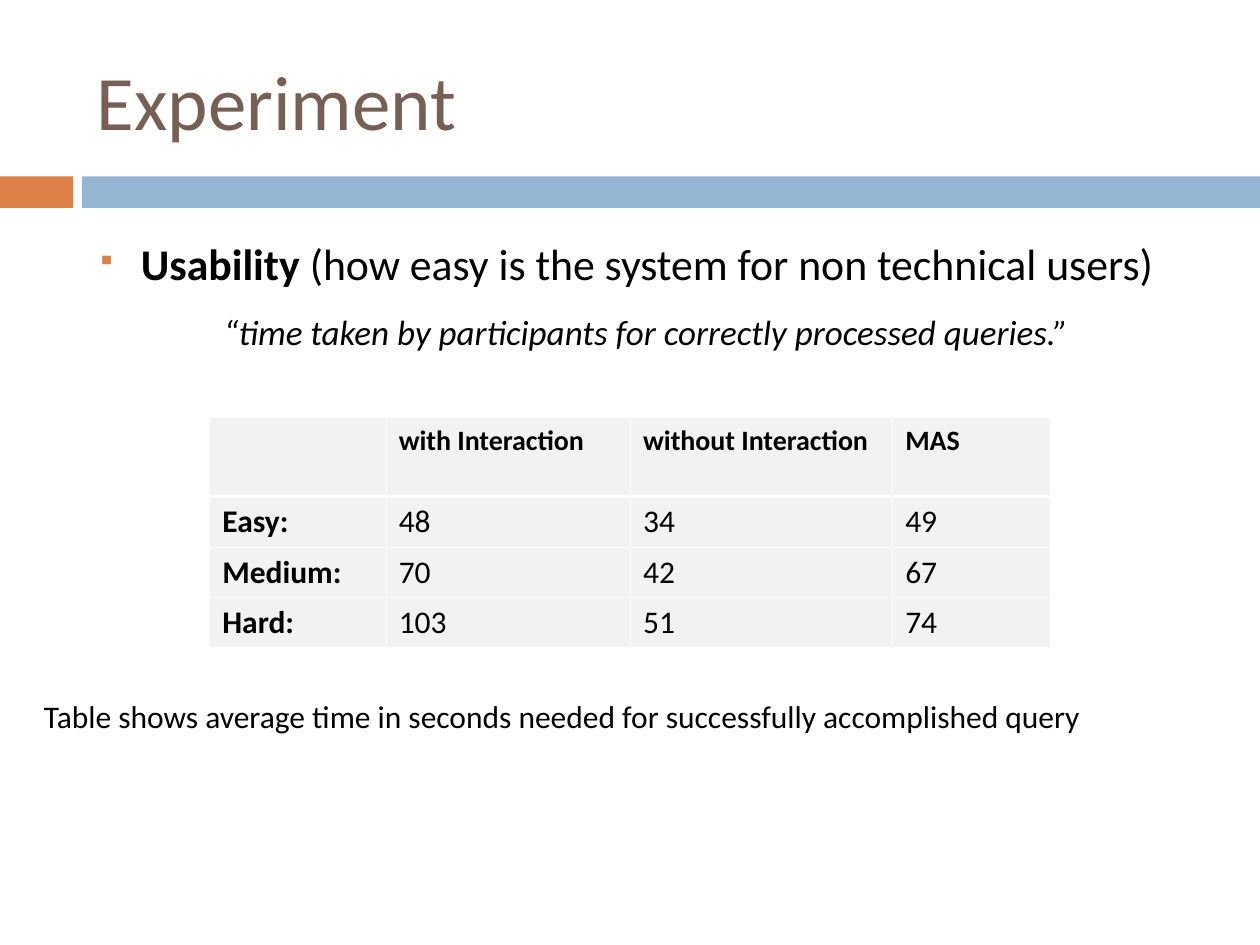
import pptx
import pptx.dml.color
import pptx.enum.shapes
import pptx.enum.text
import pptx.oxml
import pptx.oxml.ns
import pptx.util

WIDTH, HEIGHT = 10, 7.5
FONT = "Calibri"
BLACK, WHITE, BROWN = "000000", "FFFFFF", "775F55"
ORANGE, BLUE, PALE = "DD8047", "94B6D2", "F2F2F2"
COLUMNS = [1.4, 1.94, 2.08, 1.25]
ROWS = [0.63, 0.4, 0.4, 0.4]
TIMES = [
    ["", "with Interaction", "without Interaction", "MAS"],
    ["Easy:", "48", "34", "49"],
    ["Medium:", "70", "42", "67"],
    ["Hard:", "103", "51", "74"],
]


def inches(*lengths):
    """Convert lengths in inches to slide units."""
    return [pptx.util.Inches(length) for length in lengths]


def color(hex_value):
    """Return the colour for a hex string."""
    return pptx.dml.color.RGBColor.from_string(hex_value)


def format_font(font, size, hex_value=BLACK, bold=False, italic=False):
    """Apply the slide's typeface with the given look."""
    font.name, font.size = FONT, pptx.util.Pt(size)
    font.bold, font.italic = bold, italic
    font.color.rgb = color(hex_value)


def append_xml(parent, xml):
    """Append a DrawingML fragment to an element."""
    namespace = pptx.oxml.ns.nsdecls("a")
    parent.append(pptx.oxml.parse_xml(xml.replace(" ", f" {namespace} ", 1)))


def add_band(slide, left, width, fill):
    """Draw one part of the horizontal band under the title."""
    band = slide.shapes.add_shape(
        pptx.enum.shapes.MSO_SHAPE.RECTANGLE, *inches(left, 1.4, width, 0.25))
    band.shadow.inherit = False
    band.fill.solid()
    band.fill.fore_color.rgb = color(fill)
    band.line.fill.background()


def add_text(slide, box, text, size, hex_value=BLACK, anchor="TOP"):
    """Add a wrapped text box with one paragraph and return its frame."""
    frame = slide.shapes.add_textbox(*inches(*box)).text_frame
    frame.word_wrap = True
    frame.vertical_anchor = pptx.enum.text.MSO_ANCHOR[anchor]
    frame.text = text
    format_font(frame.paragraphs[0].runs[0].font, size, hex_value)
    return frame


def add_bullet(paragraph):
    """Give a paragraph a hanging square bullet."""
    properties = paragraph._p.get_or_add_pPr()
    indent = pptx.util.Inches(0.35)
    properties.set("marL", str(indent))
    properties.set("indent", str(-indent))
    append_xml(properties, f'<a:buClr ><a:srgbClr val="{ORANGE}"/></a:buClr>')
    append_xml(properties, '<a:buSzPct val="60000"/>')
    append_xml(properties, '<a:buChar char="▪"/>')


def add_usability(slide):
    """Add the usability bullet and the centred measure below it."""
    frame = add_text(slide, (0.67, 1.75, 8.92, 4.92), "Usability", 25)
    usability = frame.paragraphs[0]
    add_bullet(usability)
    usability.runs[0].font.bold = True
    explanation = usability.add_run()
    explanation.text = " (how easy is the system for non technical users)"
    format_font(explanation.font, 25)
    measure = frame.add_paragraph()
    measure.text = "“time taken by participants for correctly processed queries.”"
    measure.alignment = pptx.enum.text.PP_ALIGN.CENTER
    measure.space_before = pptx.util.Pt(7)
    format_font(measure.runs[0].font, 20, italic=True)
    for paragraph in frame.paragraphs:
        paragraph.line_spacing = 1.2


def add_borders(cell, row):
    """Draw white cell borders, heavier between the header and the body."""
    thin, heavy = pptx.util.Pt(0.45), pptx.util.Pt(1.47)
    widths = {"L": thin, "R": thin, "T": heavy if row == 1 else thin,
              "B": heavy if row == 0 else thin}
    for side, width in widths.items():
        append_xml(cell._tc.get_or_add_tcPr(),
                   f'<a:ln{side} w="{width}"><a:solidFill><a:srgbClr val="{WHITE}"/>'
                   f'</a:solidFill></a:ln{side}>')


def add_times(slide):
    """Add the table of query times."""
    box = inches((WIDTH - sum(COLUMNS)) / 2, 3.31, sum(COLUMNS), sum(ROWS))
    table = slide.shapes.add_table(len(ROWS), len(COLUMNS), *box).table
    table.first_row = table.horz_banding = False
    for column, width in zip(table.columns, inches(*COLUMNS)):
        column.width = width
    for row, height in zip(table.rows, inches(*ROWS)):
        row.height = height
    for row, values in enumerate(TIMES):
        for column, value in enumerate(values):
            cell = table.cell(row, column)
            add_borders(cell, row)
            cell.fill.solid()
            cell.fill.fore_color.rgb = color(PALE)
            cell.text = value
            format_font(cell.text_frame.paragraphs[0].font, 18 if row else 16,
                        bold=row == 0 or column == 0)


def main():
    """Build and save the slide."""
    deck = pptx.Presentation()
    deck.slide_width, deck.slide_height = inches(WIDTH, HEIGHT)
    slide = deck.slides.add_slide(deck.slide_layouts[6])
    add_band(slide, 0, 0.58, ORANGE)
    add_band(slide, 0.65, WIDTH - 0.65, BLUE)
    add_text(slide, (0.67, 0.25, 8.92, 1.08), "Experiment", 44, BROWN, "MIDDLE")
    add_usability(slide)
    add_times(slide)
    add_text(slide, (0.25, 5.48, 9.75, 0.4),
             "Table shows average time in seconds needed for successfully "
             "accomplished query", 18)
    deck.save("out.pptx")


if __name__ == "__main__":
    main()
